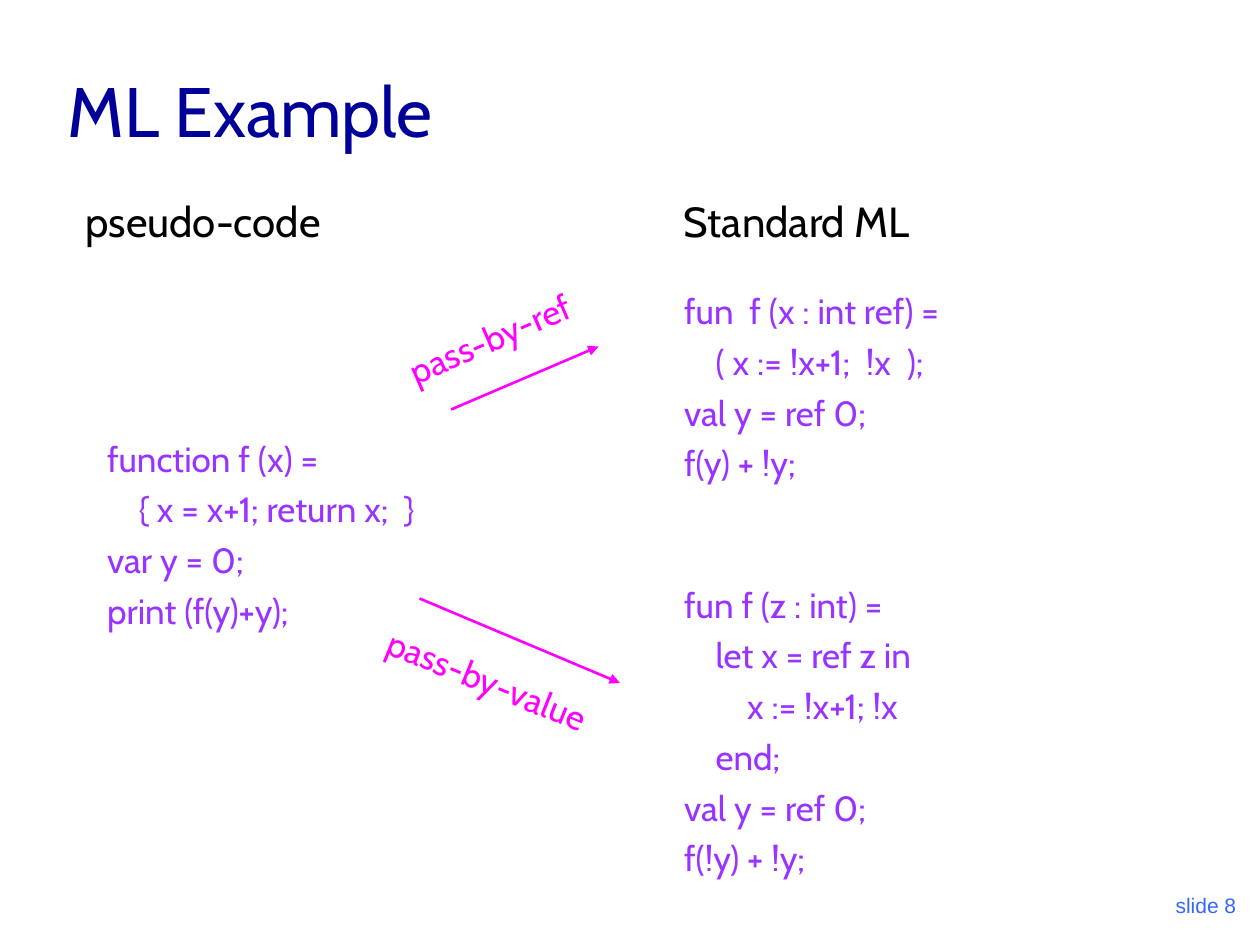
from dataclasses import dataclass

from lxml.etree import SubElement
from pptx import Presentation
from pptx.dml.color import RGBColor
from pptx.enum.shapes import MSO_CONNECTOR as Conn
from pptx.enum.text import MSO_ANCHOR as Anchor, PP_ALIGN as Align
from pptx.oxml.ns import qn
from pptx.util import Inches, Pt

NAVY, BLUE, BLACK = "000099", "3366FF", "000000"
PURPLE, PINK = "9933FF", "FF00FF"


@dataclass
class Label:
    text: str
    left: float
    top: float
    width: float
    height: float
    size: int
    color: str
    face: str = "Cabin"
    inset: float = 0.1
    turn: float = 0
    anchor: Anchor = Anchor.TOP
    align: Align = Align.LEFT


@dataclass
class Arrow:
    start: tuple[float, float]
    end: tuple[float, float]


def rgb(color: str) -> RGBColor:
    return RGBColor.from_string(color)


def code(text: str, left: float, top: float, height: float) -> Label:
    return Label(text, left, top, 4, height, 20, PURPLE, inset=0.6)


def head(text: str, left: float) -> Label:
    return Label(text, left, 1.5, 2.67, 0.5, 24, BLACK)


def note(text: str, left: float, top: float, turn: float) -> Label:
    return Label(text, left, top, 2.25, 0.44, 20, PINK, turn=turn)


def draw_label(slide, item: Label) -> None:
    place = (item.left, item.top, item.width, item.height)
    box = slide.shapes.add_textbox(*map(Inches, place))
    box.rotation = item.turn
    frame = box.text_frame
    form = {"word_wrap": True, "vertical_anchor": item.anchor,
            "margin_left": Inches(item.inset)}
    for key, value in form.items():
        setattr(frame, key, value)
    for i, line in enumerate(item.text.split("\n")):
        para = frame.add_paragraph() if i else frame.paragraphs[0]
        para.alignment = item.align
        para.space_before = Pt(5 if i else 0)
        run = para.add_run()
        run.text = line
        for key, value in {"name": item.face, "size": Pt(item.size)}.items():
            setattr(run.font, key, value)
        run.font.color.rgb = rgb(item.color)


def draw_arrow(slide, item: Arrow) -> None:
    ends = map(Inches, item.start + item.end)
    line = slide.shapes.add_connector(Conn.STRAIGHT, *ends)
    line.line.color.rgb = rgb(PINK)
    line.line.width = Pt(1.5)
    props = line._element.spPr
    SubElement(props.find(qn("a:ln")), qn("a:tailEnd"), type="triangle")
    SubElement(props, qn("a:effectLst"))


PSEUDO = """function f (x) =
    { x = x+1; return x;  }
var y = 0;
print (f(y)+y);"""

BY_REF = """fun  f (x : int ref) =
    ( x := !x+1;  !x  );
val y = ref 0;
f(y) + !y;"""

BY_VALUE = """fun f (z : int) =
    let x = ref z in
        x := !x+1; !x
    end;
val y = ref 0;
f(!y) + !y;"""

LABELS = [
    # Slide number and title
    Label("slide 8", 7.83, 6.83, 2.08, 0.5, 12, BLUE, "Arial",
          anchor=Anchor.BOTTOM, align=Align.RIGHT),
    Label("ML Example", 0.44, 0.25, 8.5, 1, 40, NAVY, anchor=Anchor.BOTTOM),
    # Code listings
    code(PSEUDO, 0.25, 3.42, 2.67),
    code(BY_REF, 4.83, 2.25, 2.33),
    code(BY_VALUE, 4.83, 4.58, 2.5),
    # Column heads
    head("pseudo-code", 0.58),
    head("Standard ML", 5.33),
    # Arrow notes
    note("pass-by-ref", 3.08, 2.33, 336.5),
    note("pass-by-value", 2.92, 5.25, 22.1),
]

ARROWS = [
    Arrow((3.58, 3.25), (4.75, 2.75)),
    Arrow((3.33, 4.75), (4.92, 5.42)),
]


def main() -> None:
    deck = Presentation()
    deck.slide_width, deck.slide_height = Inches(10), Inches(7.5)
    slide = deck.slides.add_slide(deck.slide_layouts[6])
    for item in LABELS:
        draw_label(slide, item)
    for item in ARROWS:
        draw_arrow(slide, item)
    deck.save("out.pptx")


if __name__ == "__main__":
    main()
